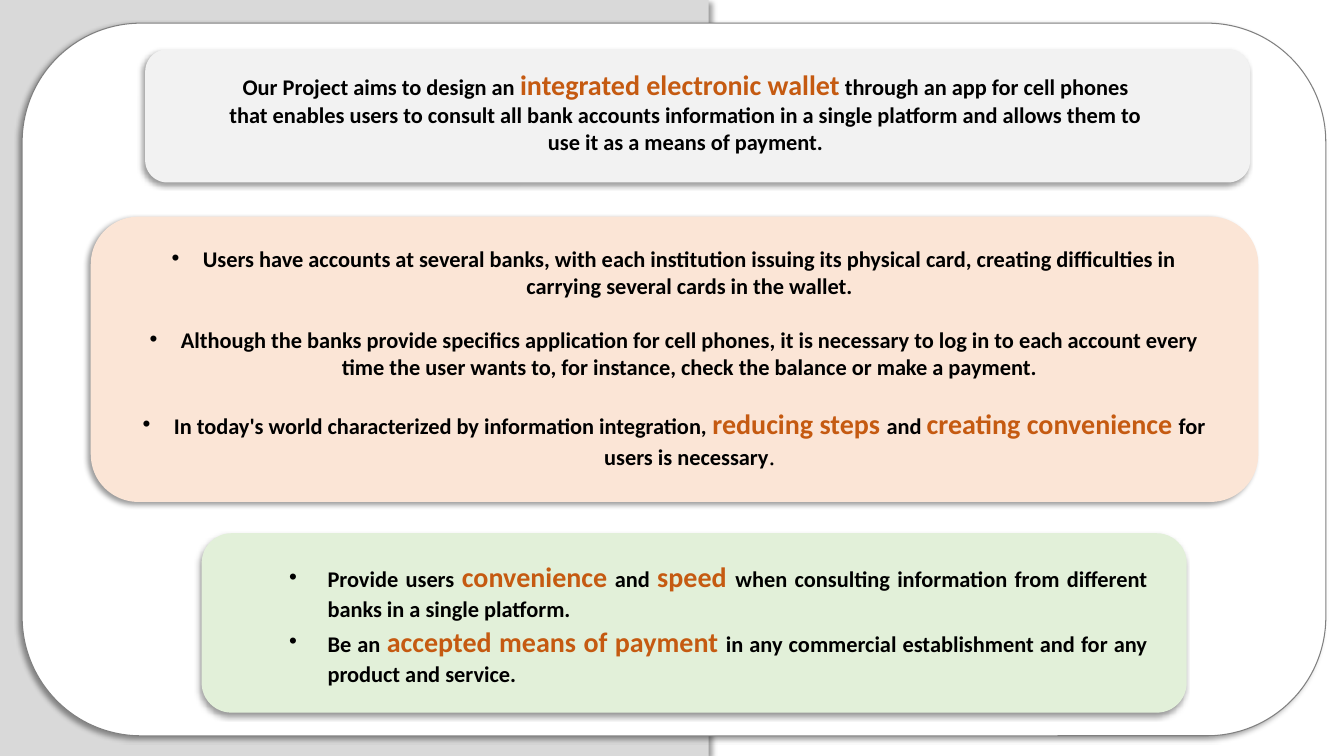
from lxml import etree
from pptx import Presentation
from pptx.dml.color import RGBColor
from pptx.enum.shapes import MSO_SHAPE
from pptx.enum.text import MSO_ANCHOR, PP_ALIGN
from pptx.oxml.ns import qn
from pptx.util import Inches, Pt

RECT, ROUNDED = MSO_SHAPE.RECTANGLE, MSO_SHAPE.ROUNDED_RECTANGLE
CENTER, JUSTIFY = PP_ALIGN.CENTER, PP_ALIGN.JUSTIFY
TOP = MSO_ANCHOR.TOP

# Content: text between asterisks is emphasised
AIM = [
    "Our Project aims to design an *integrated electronic wallet* through an app "
    "for cell phones that enables users to consult all bank accounts information "
    "in a single platform and allows them to use it as a means of payment.",
]
PROBLEMS = [
    "Users have accounts at several banks, with each institution issuing its "
    "physical card, creating difficulties in carrying several cards in the wallet.",
    "Although the banks provide specifics application for cell phones, it is "
    "necessary to log in to each account every time the user wants to, for "
    "instance, check the balance or make a payment.",
    "In today's world characterized by information integration, *reducing steps "
    "*and *creating convenience *for users is necessary",
]
PROBLEMS_STOP = "."
GOALS = [
    "Provide users *convenience* and *speed *when consulting information from "
    "different banks in a single platform.",
    "Be an *accepted means of payment *in any commercial establishment and for "
    "any product and service.",
]

THEME = {
    "font": "Calibri", "stop_font": "Times New Roman",
    "body": 16, "emphasis": 20, "stop": 18,
    "text": "000000", "accent": "C55A11",
    "band": "D9D9D9", "sheet": "FFFFFF", "outline": "808080",
    "aim": "F2F2F2", "problems": "FBE5D6", "goals": "E2F0D9",
    "shadow": "000000",
}

# Panels from back to front: preset, box, fill, outline, shadow angle
PANELS = [
    (RECT, (0, 0, 7.03, 7.5), "band", None, 45),
    (ROUNDED, (0.22, 0.23, 12.93, 7.07), "sheet", "outline", 135),
    (ROUNDED, (0.9, 2.15, 11.58, 2.83), "problems", None, 135),
    (ROUNDED, (2, 5.29, 9.77, 1.78), "goals", None, 135),
    (ROUNDED, (1.44, 0.49, 10.96, 1.32), "aim", None, 135),
]

# Texts: paragraphs, box, alignment, bullet indent, line spacing, gap in points
TEXTS = [
    (PROBLEMS, (1.25, 2.38, 10.87, 2.36), CENTER, 0.31, None, 19.5),
    (GOALS, (2.77, 5.48, 8.71, 1.38), JUSTIFY, 0.38, 1.07, 0),
    (AIM, (2.12, 0.62, 9.36, 1.25), CENTER, 0, None, 0),
]


def color(name):
    return RGBColor.from_string(THEME[name])


def add_shadow(panel, angle):
    panel.shadow.inherit = False
    effects = panel._element.spPr.find(qn("a:effectLst"))
    outer = etree.SubElement(effects, qn("a:outerShdw"), {
        "blurRad": str(Pt(4)), "dist": str(Pt(3)), "dir": str(angle * 60000),
        "algn": "ctr", "rotWithShape": "0"})
    tint = etree.SubElement(outer, qn("a:srgbClr"), val=THEME["shadow"])
    etree.SubElement(tint, qn("a:alpha"), val="40000")


def add_panel(slide, preset, box, fill, outline, angle):
    panel = slide.shapes.add_shape(preset, *map(Inches, box))
    panel.fill.solid()
    panel.fill.fore_color.rgb = color(fill)
    if outline:
        panel.line.color.rgb = color(outline)
        panel.line.width = Pt(0.75)
    else:
        panel.line.fill.background()
    add_shadow(panel, angle)


def add_bullet(paragraph, indent):
    props = paragraph._p.get_or_add_pPr()
    props.set("marL", str(Inches(indent)))
    props.set("indent", str(-Inches(indent)))
    etree.SubElement(props, qn("a:buFont"), typeface="Arial")
    etree.SubElement(props, qn("a:buChar"), char="•")


def add_words(paragraph, text):
    for position, words in enumerate(text.split("*")):
        emphasised = position % 2 == 1
        run = paragraph.add_run()
        run.text = words
        run.font.name = THEME["font"]
        run.font.bold = True
        run.font.size = Pt(THEME["emphasis" if emphasised else "body"])
        run.font.color.rgb = color("accent" if emphasised else "text")


def add_text(slide, lines, box, align, indent, spacing, gap):
    frame = slide.shapes.add_textbox(*map(Inches, box)).text_frame
    frame.word_wrap = True
    frame.vertical_anchor = TOP
    for number, line in enumerate(lines):
        paragraph = frame.add_paragraph() if number else frame.paragraphs[0]
        paragraph.alignment = align
        if spacing:
            paragraph.line_spacing = spacing
        if number and gap:
            paragraph.space_before = Pt(gap)
        if indent:
            add_bullet(paragraph, indent)
        add_words(paragraph, line)
    return frame


def main():
    deck = Presentation()
    deck.slide_width, deck.slide_height = Inches(13.33), Inches(7.5)
    slide = deck.slides.add_slide(deck.slide_layouts[6])

    # Background and panels
    for panel in PANELS:
        add_panel(slide, *panel)

    # Panel texts
    problems, *_ = [add_text(slide, *text) for text in TEXTS]

    # Closing full stop in the serif face
    stop = problems.paragraphs[-1].add_run()
    stop.text = PROBLEMS_STOP
    stop.font.name = THEME["stop_font"]
    stop.font.size = Pt(THEME["stop"])
    stop.font.color.rgb = color("text")

    deck.save("out.pptx")


if __name__ == "__main__":
    main()
